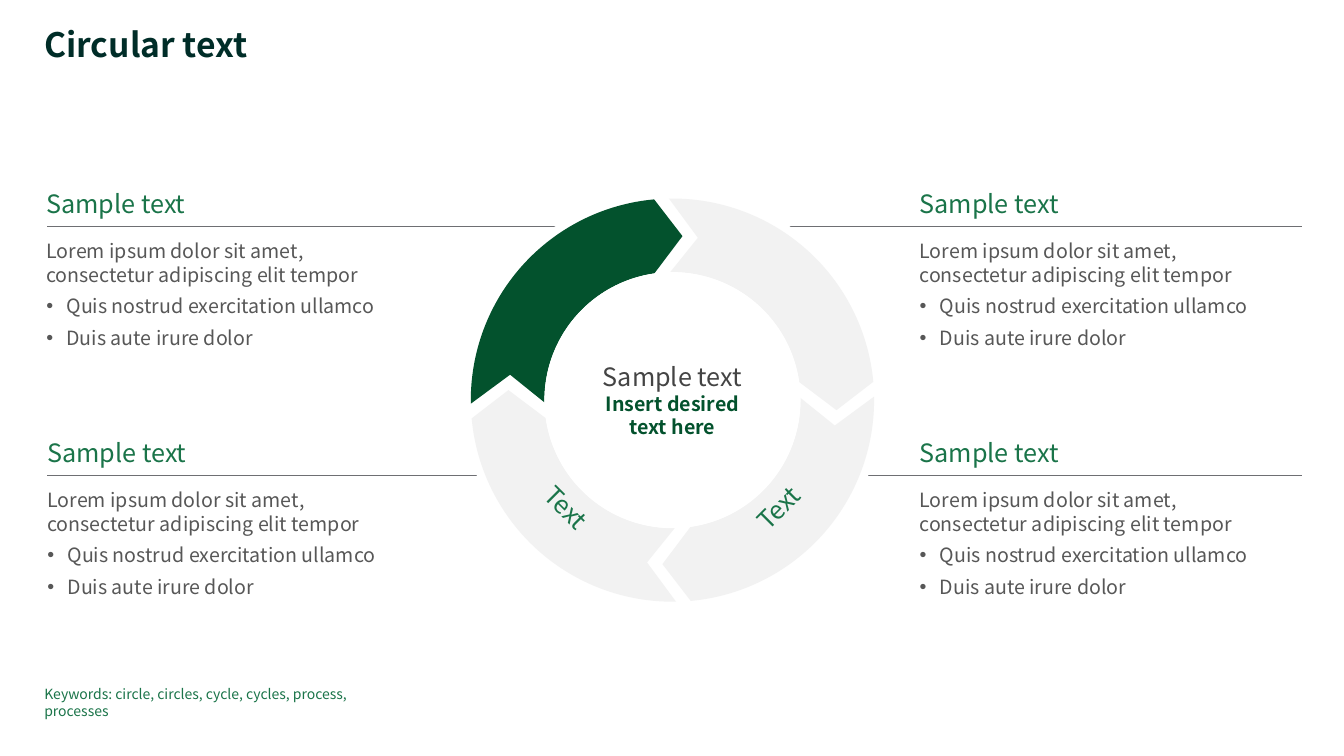
from math import cos, radians, sin, tan

from lxml import etree
from pptx import Presentation
from pptx.dml.color import RGBColor
from pptx.enum.shapes import MSO_CONNECTOR, MSO_SHAPE
from pptx.enum.text import MSO_ANCHOR, PP_ALIGN
from pptx.oxml.ns import qn
from pptx.util import Inches, Pt

FONT = "Noto Sans CJK JP"
GREEN, DARK_GREEN = "1A7449", "03522D"
PALE, GRAY, WHITE = "F2F2F2", "575757", "FFFFFF"
CENTER_X, CENTER_Y = 6.67, 3.97
OUTER, MIDDLE, INNER = 2.0, 1.63, 1.27


def color(value):
    return RGBColor.from_string(value)


def write(frame, text, size, ink, bold=False, align=None, after=0,
          spacing=None, bullet=False):
    """Fill the empty first paragraph of a frame, or append another one."""
    paragraph = frame.paragraphs[0]
    if paragraph.runs:
        paragraph = frame.add_paragraph()
    paragraph.text = text
    paragraph.space_after = Pt(after)
    if align is not None:
        paragraph.alignment = align
    if spacing:
        paragraph.line_spacing = spacing
    if bullet:
        properties = paragraph._p.get_or_add_pPr()
        properties.set("marL", str(Inches(0.2)))
        properties.set("indent", str(Inches(-0.2)))
        etree.SubElement(properties, qn("a:buFont")).set("typeface", "Arial")
        etree.SubElement(properties, qn("a:buChar")).set("char", "•")
    for run in paragraph.runs:
        run.font.name, run.font.size = FONT, Pt(size)
        run.font.bold = bold
        run.font.color.rgb = color(ink)


def add_frame(slide, left, top, width, height, inset_top=0, inset_bottom=0,
              anchor=MSO_ANCHOR.TOP, rotation=0):
    box = slide.shapes.add_textbox(Inches(left), Inches(top), Inches(width), Inches(height))
    box.rotation = rotation
    frame = box.text_frame
    frame.word_wrap = True
    frame.vertical_anchor = anchor
    frame.margin_left = frame.margin_right = 0
    frame.margin_top, frame.margin_bottom = Inches(inset_top), Inches(inset_bottom)
    return frame


def paint(shape, fill):
    shape.shadow.inherit = False
    shape.fill.solid()
    shape.fill.fore_color.rgb = color(fill)
    shape.line.fill.background()


def add_disc(slide, radius):
    disc = slide.shapes.add_shape(
        MSO_SHAPE.OVAL, Inches(CENTER_X - radius), Inches(CENTER_Y - radius),
        Inches(2 * radius), Inches(2 * radius))
    paint(disc, WHITE)
    return disc


def add_rule(slide, start, end, y):
    rule = slide.shapes.add_connector(
        MSO_CONNECTOR.STRAIGHT, Inches(start), Inches(y), Inches(end), Inches(y))
    rule.line.color.rgb = color("6E6F73")
    rule.line.width = Pt(0.5)
    etree.SubElement(rule._element.spPr, qn("a:effectLst"))


def add_section(slide, left, rule_y, heading_width, body_width):
    """Heading above the rule, body text and bullets below it."""
    heading = add_frame(slide, left, rule_y - 0.38, heading_width, 0.38,
                        inset_bottom=0.08, anchor=MSO_ANCHOR.BOTTOM)
    write(heading, "Sample text", 18, GREEN)
    body = add_frame(slide, left, rule_y, body_width, 1.31, inset_top=0.12, inset_bottom=0.08)
    write(body, "Lorem ipsum dolor sit amet,\vconsectetur adipiscing elit tempor",
          14, GRAY, after=6)
    for item in ("Quis nostrud exercitation ullamco", "Duis aute irure dolor"):
        write(body, item, 14, GRAY, after=6, bullet=True)


def add_ring_arrow(slide, turn, fill):
    """Quarter of the ring; angles run clockwise from the left, in degrees."""
    def point(radius, angle, along=0):
        """Point on a circle, moved along its tangent by a share of the radius."""
        angle = radians(angle + turn)
        return (Inches(CENTER_X - radius * (cos(angle) - along * sin(angle))),
                Inches(CENTER_Y - radius * (sin(angle) + along * cos(angle))))

    def arc(radius, start, end):
        """Two Bezier curves, three points each, after the start point."""
        middle = (start + end) / 2
        reach = 4 / 3 * tan(radians(middle - start) / 4)
        return [place for first, last in ((start, middle), (middle, end))
                for place in (point(radius, first, reach), point(radius, last, -reach),
                              point(radius, last))]

    outline = ([point(OUTER, -1)] + arc(OUTER, -1, 84.8)
               + [point(MIDDLE, 93.5), point(INNER, 81.9)]
               + arc(INNER, 81.9, -1) + [point(MIDDLE, 8.9)])
    builder = slide.shapes.build_freeform(*outline[0], scale=1.0)
    builder.add_line_segments(outline[1:], close=True)
    shape = builder.convert_to_shape()
    paint(shape, fill)

    # Join the control points of each arc into curves
    lines = list(shape._element.iter(qn("a:lnTo")))
    for start in (0, 3, 8, 11):
        curve = etree.Element(qn("a:cubicBezTo"))
        lines[start].addprevious(curve)
        for line in lines[start:start + 3]:
            curve.append(line[0])
            line.getparent().remove(line)


def add_cycle(slide):
    for quarter, fill in enumerate((DARK_GREEN, PALE, PALE, PALE)):
        add_ring_arrow(slide, 90 * quarter, fill)

    # Centre label
    frame = add_disc(slide, INNER).text_frame
    frame.word_wrap = False
    frame.vertical_anchor = MSO_ANCHOR.MIDDLE
    write(frame, "Sample text", 18, "444444", align=PP_ALIGN.CENTER)
    write(frame, "Insert desired\vtext here", 14, DARK_GREEN, bold=True,
          align=PP_ALIGN.CENTER)

    # Turned labels on the lower arrows
    for rotation in (45, 315):
        label = add_frame(slide, 5.04, 2.35, 3.26, 3.27,
                          anchor=MSO_ANCHOR.BOTTOM, rotation=rotation)
        write(label, "Text", 18, GREEN, align=PP_ALIGN.CENTER)


def build_slide(presentation):
    slide = presentation.slides.add_slide(presentation.slide_layouts[6])
    write(add_frame(slide, 0.44, 0.28, 11.03, 0.37), "Circular text", 24, "002D28",
          bold=True, spacing=0.9)

    # Rules run under the white disc behind the ring
    rows = ((2.25, 0.46, 5.85, 6.97), (4.72, 0.47, 4.84, 8.38))
    for rule_y, left, left_end, right_start in rows:
        add_rule(slide, 0.47, left_end, rule_y)
        add_rule(slide, right_start, 12.91, rule_y)
    add_disc(slide, 2.08)

    # Text sections
    for rule_y, left, left_end, right_start in rows:
        add_section(slide, left, rule_y, 5.43, 3.9)
        add_section(slide, 9.12, rule_y, 3.79, 3.79)
    add_cycle(slide)

    # Keywords
    write(add_frame(slide, 0.44, 6.8, 3.64, 0.17),
          "Keywords: circle, circles, cycle, cycles, process, processes", 10, GREEN)


def main():
    presentation = Presentation()
    presentation.slide_width, presentation.slide_height = Inches(13.33), Inches(7.5)
    build_slide(presentation)
    presentation.save("out.pptx")


if __name__ == "__main__":
    main()
